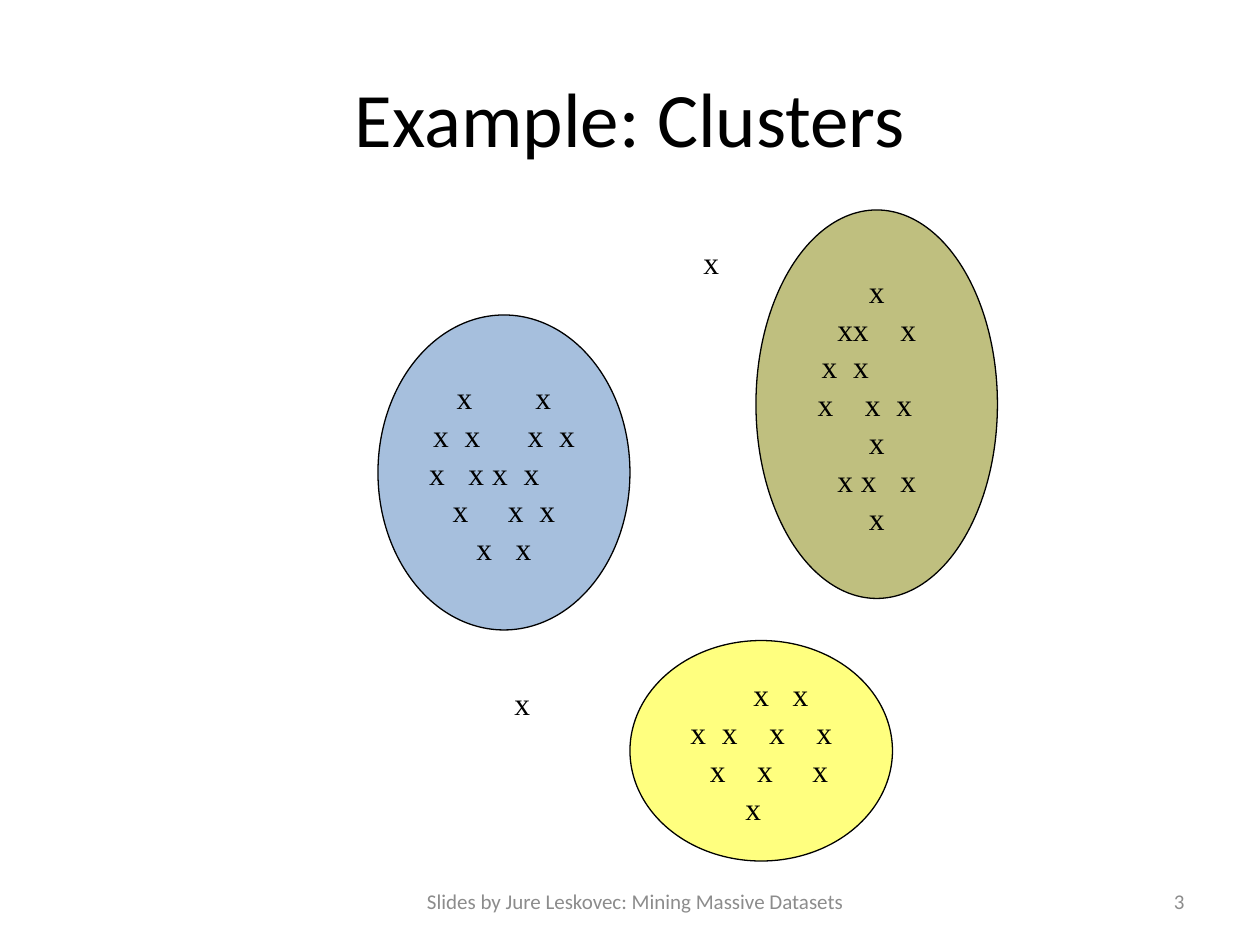
from math import sqrt

from lxml.etree import SubElement
from pptx import Presentation
from pptx.dml.color import RGBColor
from pptx.enum.shapes import MSO_SHAPE as Shape
from pptx.enum.text import MSO_ANCHOR as Anchor, PP_ALIGN as Align
from pptx.oxml.ns import qn
from pptx.util import Pt

THEME = {
    "title": {"name": "Calibri", "size": Pt(44), "color": "000000"},
    "footer": {"name": "Calibri", "size": Pt(12), "color": "8C8C8C"},
    "point": {"name": "Times New Roman", "size": Pt(18), "color": "000000"},
    "outline": "000000",
    "blue": "4F81BD",
    "olive": "808000",
    "yellow": "FFFF00",
    "opacity": 50,
    "point_leading": Pt(21.6),
}


def write(paragraph, text, style, **layout):
    run = paragraph.add_run()
    run.text = text
    for name in ("name", "size"):
        setattr(run.font, name, THEME[style][name])
    run.font.color.rgb = RGBColor.from_string(THEME[style]["color"])
    for name, value in layout.items():
        setattr(paragraph, name, value)


def add_label(left, top, width, height, text, style, wrap=True,
              anchor=Anchor.MIDDLE, **layout):
    box = slide.shapes.add_textbox(Pt(left), Pt(top), Pt(width), Pt(height))
    box.text_frame.word_wrap = wrap
    box.text_frame.vertical_anchor = anchor
    write(box.text_frame.paragraphs[0], text, style, **layout)


presentation = Presentation()
presentation.slide_width, presentation.slide_height = Pt(720), Pt(540)
slide = presentation.slides.add_slide(presentation.slide_layouts[6])

# Title and footer
add_label(36, 21.6, 648, 90, "Example: Clusters", "title", alignment=Align.CENTER)
add_label(204, 500.4, 318, 28.8, "Slides by Jure Leskovec: Mining Massive Datasets",
          "footer", alignment=Align.CENTER)
add_label(516, 500.4, 168, 28.8, "3", "footer", alignment=Align.RIGHT)

# Clusters: ellipse, colour, and for each row its points and their offsets from the centre
clusters = [
    (216, 180, 144, 180, "blue", [
        ("\tx\tx", (-27, 18)),
        ("\tx\tx\tx\tx", (-40.5, -22.5, 13.5, 31.5)),
        ("\tx\tx x\tx", (-42.75, -20.25, 11.25)),
        ("\tx\tx\tx", (-29.25, 2.25, 20.25)),
        ("\tx\tx", (-15.75, 6.75)),
    ]),
    (432, 120, 138, 222, "olive", [
        ("\tx", (-4.5,)),
        ("\txx\tx", (-22.5, 13.5)),
        ("\tx\tx", (-31.5, -13.5)),
        ("\tx\tx\tx", (-33.75, -6.75, 11.25)),
        ("\tx", (-4.5,)),
        ("\tx x\tx", (-22.5, 13.5)),
        ("\tx", (-4.5,)),
    ]),
    (360, 366, 150, 126, "yellow", [
        ("\tx\tx", (-4.5, 18)),
        ("\tx\tx\tx\tx", (-40.5, -22.5, 4.5, 31.5)),
        ("\tx\tx\tx", (-29.25, -2.25, 29.25)),
        ("\tx", (-9,)),
    ]),
]
for left, top, width, height, color, rows in clusters:
    ellipse = slide.shapes.add_shape(Shape.OVAL, Pt(left), Pt(top), Pt(width), Pt(height))
    ellipse.shadow.inherit = False
    ellipse.fill.solid()
    ellipse.fill.fore_color.rgb = RGBColor.from_string(THEME[color])
    fill_color = ellipse.fill._xPr.find(qn("a:solidFill"))[0]
    SubElement(fill_color, qn("a:alpha"), val=str(THEME["opacity"] * 1000))
    ellipse.line.color.rgb = RGBColor.from_string(THEME["outline"])
    ellipse.line.width = Pt(0.75)

    frame = ellipse.text_frame
    frame_format = {"word_wrap": True, "vertical_anchor": Anchor.MIDDLE,
                    "margin_left": 0, "margin_right": 0,
                    "margin_top": 0, "margin_bottom": 0}
    for name, value in frame_format.items():
        setattr(frame, name, value)

    # Text starts at the inscribed rectangle; tab stops place each point
    text_half_width = width / sqrt(8)
    for index, (points, offsets) in enumerate(rows):
        paragraph = frame.add_paragraph() if index else frame.paragraphs[0]
        write(paragraph, points, "point", alignment=Align.LEFT,
              line_spacing=THEME["point_leading"])
        tabs = SubElement(paragraph._p.get_or_add_pPr(), qn("a:tabLst"))
        for offset in offsets:
            SubElement(tabs, qn("a:tab"), pos=str(Pt(text_half_width + offset)), algn="l")

# Outliers
for left, top in [(394.8, 135.5), (286.8, 387.5)]:
    add_label(left, top, 26.5, 36, "x", "point", wrap=False, anchor=Anchor.TOP,
              line_spacing=THEME["point_leading"])

presentation.save("out.pptx")
